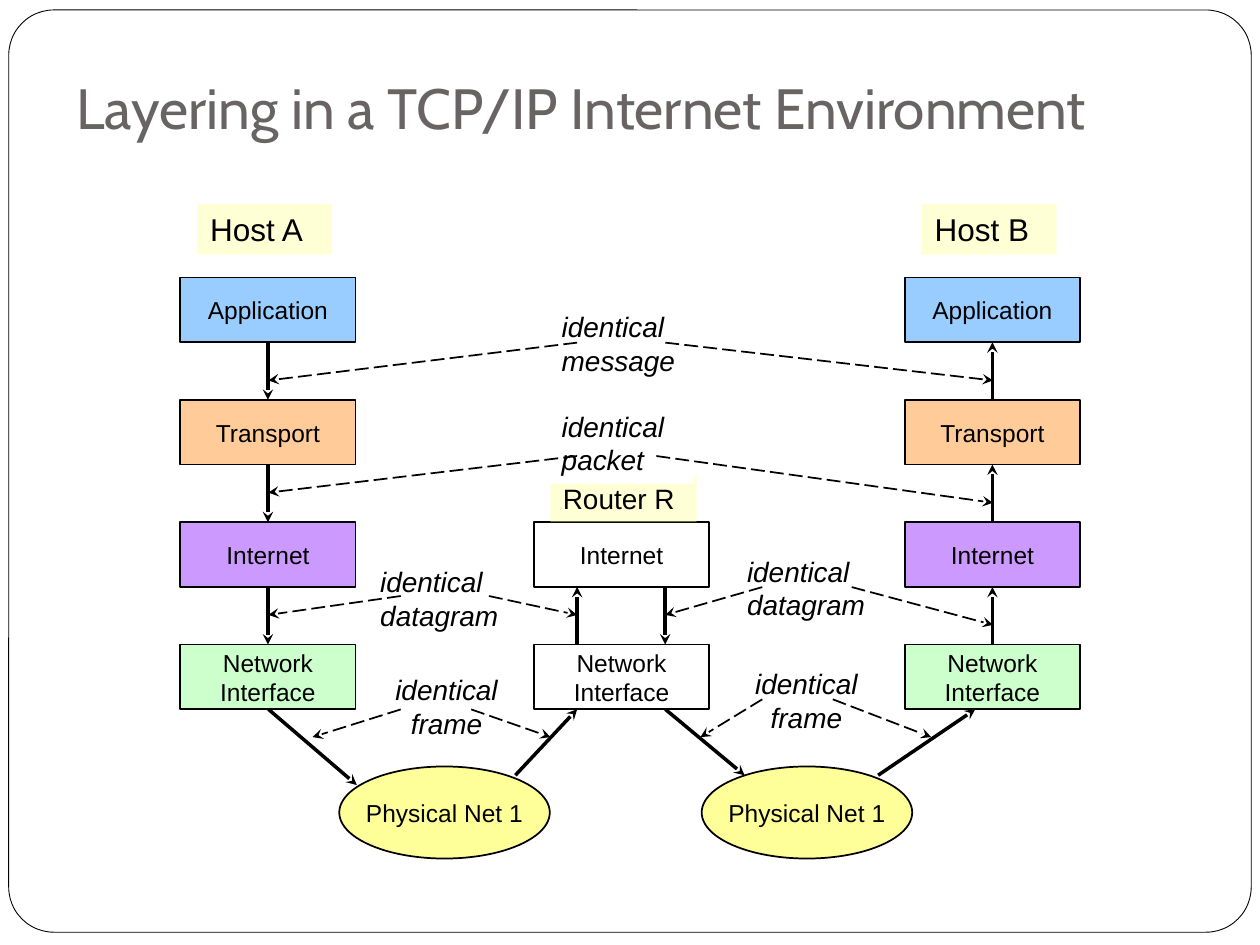
from pptx import Presentation
from pptx.dml.color import RGBColor
from pptx.enum.dml import MSO_LINE
from pptx.enum.shapes import MSO_CONNECTOR, MSO_SHAPE as Preset
from pptx.enum.text import MSO_ANCHOR as Anchor, PP_ALIGN as Align
from pptx.oxml.ns import qn
from pptx.util import Pt
from lxml.etree import SubElement

BLACK, WHITE = "000000", "FFFFFF"
BOX_WIDTH, BOX_HEIGHT, PITCH = 100.2, 37, 69.9
HOST_TOP, STACK_OFFSET = 116.6, 42
LAYERS = [
    (["Application"], "99CCFF"),
    (["Transport"], "FFCC99"),
    (["Internet"], "CC99FF"),
    (["Network", "Interface"], "CCFFCC"),
]


def color(value):
    """Turn a hex string into a colour."""
    return RGBColor.from_string(value)


def write(shape, lines, size, align=Align.LEFT, anchor=Anchor.TOP, wrap=True,
          italic=False, font="Arial", ink=BLACK):
    """Fill a shape with one paragraph for each line."""
    frame = shape.text_frame
    frame.word_wrap = wrap
    frame.vertical_anchor = anchor
    for index, line in enumerate(lines):
        paragraph = frame.add_paragraph() if index else frame.paragraphs[0]
        paragraph.alignment = align
        run = paragraph.add_run()
        run.text = line
        run.font.name, run.font.size = font, Pt(size)
        run.font.italic = italic
        run.font.color.rgb = color(ink)


def add_outline(slide, preset, left, top, width, height, fill, weight=1):
    """Add a filled shape with a black outline."""
    shape = slide.shapes.add_shape(preset, Pt(left), Pt(top), Pt(width), Pt(height))
    shape.shadow.inherit = False
    shape.fill.solid()
    shape.fill.fore_color.rgb = color(fill)
    shape.line.color.rgb = color(BLACK)
    shape.line.width = Pt(weight)
    return shape


def add_node(slide, preset, left, top, width, height, lines, fill):
    """Add an outlined shape with centred text."""
    shape = add_outline(slide, preset, left, top, width, height, fill)
    write(shape, lines, 14, Align.CENTER, Anchor.MIDDLE, wrap=False)


def add_label(slide, left, top, width, height, lines, size, fill, alpha=100, **style):
    """Add a text box on a filled ground."""
    box = slide.shapes.add_textbox(Pt(left), Pt(top), Pt(width), Pt(height))
    box.fill.solid()
    box.fill.fore_color.rgb = color(fill)
    if alpha < 100:
        ground = box.fill._xPr.find(".//" + qn("a:srgbClr"))
        SubElement(ground, qn("a:alpha"), val=str(alpha * 1000))
    write(box, lines, size, **style)


def add_arrow(slide, start, end, weight=2, dashed=False):
    """Add an arrow with a stealth head at its end."""
    arrow = slide.shapes.add_connector(
        MSO_CONNECTOR.STRAIGHT, *[Pt(value) for value in (*start, *end)])
    arrow.line.color.rgb = color(BLACK)
    arrow.line.width = Pt(weight)
    if dashed:
        arrow.line.dash_style = MSO_LINE.LONG_DASH
    SubElement(arrow.line._get_or_add_ln(), qn("a:tailEnd"), type="stealth")
    SubElement(arrow._element.spPr, qn("a:effectLst"))


def draw_frame(slide, left, top, width, height):
    """Draw the rounded border and the title inside it."""
    border = add_outline(slide, Preset.ROUNDED_RECTANGLE, left, top, width, height, WHITE, 0.5)
    border.adjustments[0] = 0.049
    title = slide.shapes.add_textbox(Pt(left + 31.7), Pt(top + 20), Pt(629.3), Pt(58.3))
    write(title, ["Layering in a TCP/IP Internet Environment"], 32.4,
          anchor=Anchor.BOTTOM, font="Cabin", ink="696464")


def draw_host(slide, left, top, name, upward):
    """Draw a host: its name above four layers joined by arrows."""
    add_label(slide, left + 10, top, 76.7, 29, [name], 18, "FFFF99", 40)
    center = left + BOX_WIDTH / 2
    for index, (lines, fill) in enumerate(LAYERS):
        y = top + STACK_OFFSET + index * PITCH
        add_node(slide, Preset.RECTANGLE, left, y, BOX_WIDTH, BOX_HEIGHT, lines, fill)
        if index:
            ends = [(center, y - PITCH + BOX_HEIGHT), (center, y)]
            add_arrow(slide, *(reversed(ends) if upward else ends))


def draw_router(slide, left, top):
    """Draw the router: its name above two layers with arrows both ways."""
    for index, (lines, _) in enumerate(LAYERS[2:]):
        add_node(slide, Preset.RECTANGLE, left, top + index * PITCH,
                 BOX_WIDTH, BOX_HEIGHT, lines, WHITE)
    upper, lower = top + BOX_HEIGHT, top + PITCH
    add_arrow(slide, (left + 75, upper), (left + 75, lower))
    add_arrow(slide, (left + 24.7, lower), (left + 24.7, upper))
    add_label(slide, left + 9.5, top - 26.6, 83.5, 26.6, ["Router R"], 16, "FFFF99", 40)


def draw_network(slide, left, top, entry, exit_start, exit_end):
    """Draw a physical network with the arrows into and out of it."""
    add_node(slide, Preset.OVAL, left, top, 120.3, 52.6, ["Physical Net 1"], "FFFF99")
    for ends in (entry, (exit_start, exit_end)):
        add_arrow(slide, *[(left + x, top + y) for x, y in ends])


def draw_callout(slide, left, top, width, word, pointers, align=Align.LEFT):
    """Draw an "identical" label and its dashed pointers, given from the label's corner."""
    add_label(slide, left, top, width, 46, ["identical", word], 16, WHITE,
              align=align, italic=True)
    for ends in pointers:
        add_arrow(slide, *[(left + x, top + y) for x, y in ends], weight=1, dashed=True)


def main():
    """Build and save the slide."""
    presentation = Presentation()
    presentation.slide_width, presentation.slide_height = Pt(720), Pt(540)
    slide = presentation.slides.add_slide(presentation.slide_layouts[6])

    draw_frame(slide, 5, 5.7, 710, 527)
    draw_host(slide, 103, HOST_TOP, "Host A", upward=False)
    draw_host(slide, 517, HOST_TOP, "Host B", upward=True)
    draw_router(slide, 305.1, HOST_TOP + STACK_OFFSET + 2 * PITCH)
    draw_network(slide, 193.9, 438, ((-40.5, -32.7), (10, 10.6)), (100.6, 5), (135.9, -32.7))
    draw_network(slide, 401, 438, ((-20.8, -32.7), (24.5, 5)), (100.8, 5), (156.3, -32.7))

    draw_callout(slide, 313.9, 173.5, 87.8, "message", [
        ((15.9, 22.3), (-160.5, 43.9)), ((66.3, 22.3), (253.5, 43.9))])
    draw_callout(slide, 313.9, 230.4, 82.8, "packet", [
        ((15.9, 30.2), (-160.5, 51.1)), ((61.2, 30.2), (253.5, 56.9))])
    draw_callout(slide, 210.2, 319, 92.9, "datagram", [
        ((18.8, 21.6), (-56.8, 32.4)), ((69.2, 21.6), (119.6, 32.4))])
    draw_callout(slide, 419.8, 313.2, 93.6, "datagram", [
        ((15.8, 22.3), (-39.6, 38.2)), ((66.9, 22.3), (147.6, 43.9))])
    draw_callout(slide, 213.1, 381, 84.2, "frame", [
        ((15.9, 24.4), (-34.5, 40.2)), ((56.2, 24.4), (101.5, 40.2))], Align.CENTER)
    draw_callout(slide, 419.8, 377.3, 82, "frame", [
        ((15.8, 22.3), (-19.5, 43.9)), ((56.1, 22.3), (112.3, 43.9))], Align.CENTER)

    presentation.save("out.pptx")


if __name__ == "__main__":
    main()
